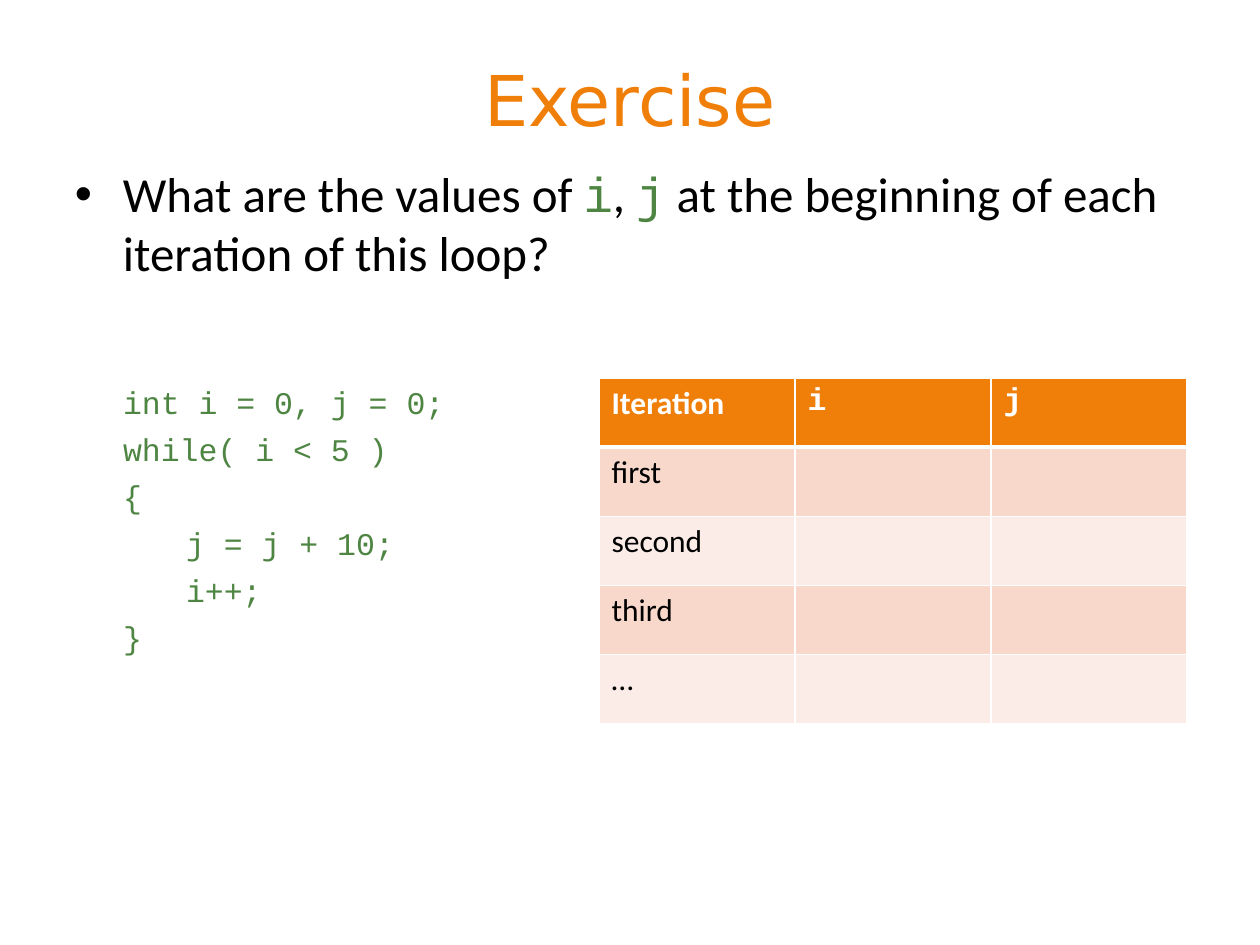
from lxml.etree import SubElement
from pptx import Presentation
from pptx.dml.color import RGBColor
from pptx.enum.text import MSO_ANCHOR, PP_ALIGN
from pptx.oxml.ns import qn
from pptx.util import Emu, Pt

HUES = {"head": "F07F09", "code": "4E8542", "ink": "000000",
        "white": "FFFFFF", "dark": "F9D8CC", "light": "FCECE7"}
SANS, MONO, TITLE = "Calibri", "Courier New", "DejaVu Sans"


def px(n):
    return Emu(round(n * 914400 / 126))


def hue(name):
    return RGBColor.from_string(HUES[name])


class Deck:
    """Builds slides in one style, with lengths in px."""

    def __init__(self, wide, high):
        self.file = Presentation()
        self.file.slide_width, self.file.slide_height = px(wide), px(high)
        self.slide = self.file.slides.add_slide(self.file.slide_layouts[6])

    def style(self, run, face, size, color, bold=False):
        font = run.font
        font.name, font.size, font.bold = face, Pt(size), bold
        font.color.rgb = hue(color)

    def box(self, x, y, w, h, pad=0):
        shape = self.slide.shapes.add_textbox(px(x), px(y), px(w), px(h))
        frame = shape.text_frame
        frame.word_wrap = True
        frame.margin_left = frame.margin_right = px(pad)
        frame.margin_top = frame.margin_bottom = px(pad // 2)
        return frame

    def title(self, text, *place):
        frame = self.box(*place, pad=12)
        frame.vertical_anchor = MSO_ANCHOR.MIDDLE
        frame.text = text
        line = frame.paragraphs[0]
        line.alignment = PP_ALIGN.CENTER
        self.style(line.runs[0], TITLE, 40, "head")

    def bullet(self, parts, *place):
        line = self.box(*place, pad=12).paragraphs[0]
        props = line._p.get_or_add_pPr()
        props.set("marL", str(px(48)))
        props.set("indent", str(-px(48)))
        SubElement(props, qn("a:buFont"), typeface="Arial")
        SubElement(props, qn("a:buChar"), char="•")
        for text, face, color in parts:
            run = line.add_run()
            run.text = text
            self.style(run, face, 28, color)

    def code(self, text, *place):
        frame = self.box(*place)
        frame.text = text
        for row, line in enumerate(frame.paragraphs):
            line.space_before = Pt(5.3 if row else 0)
            self.style(line.runs[0], MONO, 18, "code")

    def edge(self, cell, side, width):
        line = SubElement(cell._tc.get_or_add_tcPr(), qn(f"a:ln{side}"),
                          w=str(Pt(width)))
        fill = SubElement(line, qn("a:solidFill"))
        SubElement(fill, qn("a:srgbClr"), val=HUES["white"])

    def table(self, rows, faces, x, y, w, h):
        size = len(rows), len(faces)
        grid = self.slide.shapes.add_table(
            *size, px(x), px(y), px(w), px(h)).table
        grid.horz_banding = False
        for r, row in enumerate(rows):
            for c, text in enumerate(row):
                cell = grid.cell(r, c)
                for side in "LRTB":
                    thick = (r, side) in ((0, "B"), (1, "T"))
                    self.edge(cell, side, 3 if thick else 1)
                cell.fill.solid()
                band = "dark" if r % 2 else "light"
                cell.fill.fore_color.rgb = hue(band if r else "head")
                cell.text = text
                for run in cell.text_frame.paragraphs[0].runs:
                    self.style(run, SANS if r else faces[c], 18,
                               "ink" if r else "white", bold=not r)


def main():
    deck = Deck(1260, 945)
    deck.title("Exercise", 63, 38, 1134, 120)
    deck.bullet([("What are the values of ", SANS, "ink"),
                 ("i", MONO, "code"), (", ", SANS, "ink"),
                 ("j", MONO, "code"),
                 (" at the beginning of each iteration of this loop?",
                  SANS, "ink")], 63, 158, 1134, 140)
    deck.code("int i = 0, j = 0;\nwhile( i < 5 )\n{\n"
              "\tj = j + 10;\n\ti++;\n}", 123, 383, 450, 270)
    names = ["first", "second", "third", "…"]
    rows = [["Iteration", "i", "j"]] + [[name, "", ""] for name in names]
    deck.table(rows, [SANS, MONO, MONO], 599, 378, 588, 346)
    deck.file.save("out.pptx")


if __name__ == "__main__":
    main()
